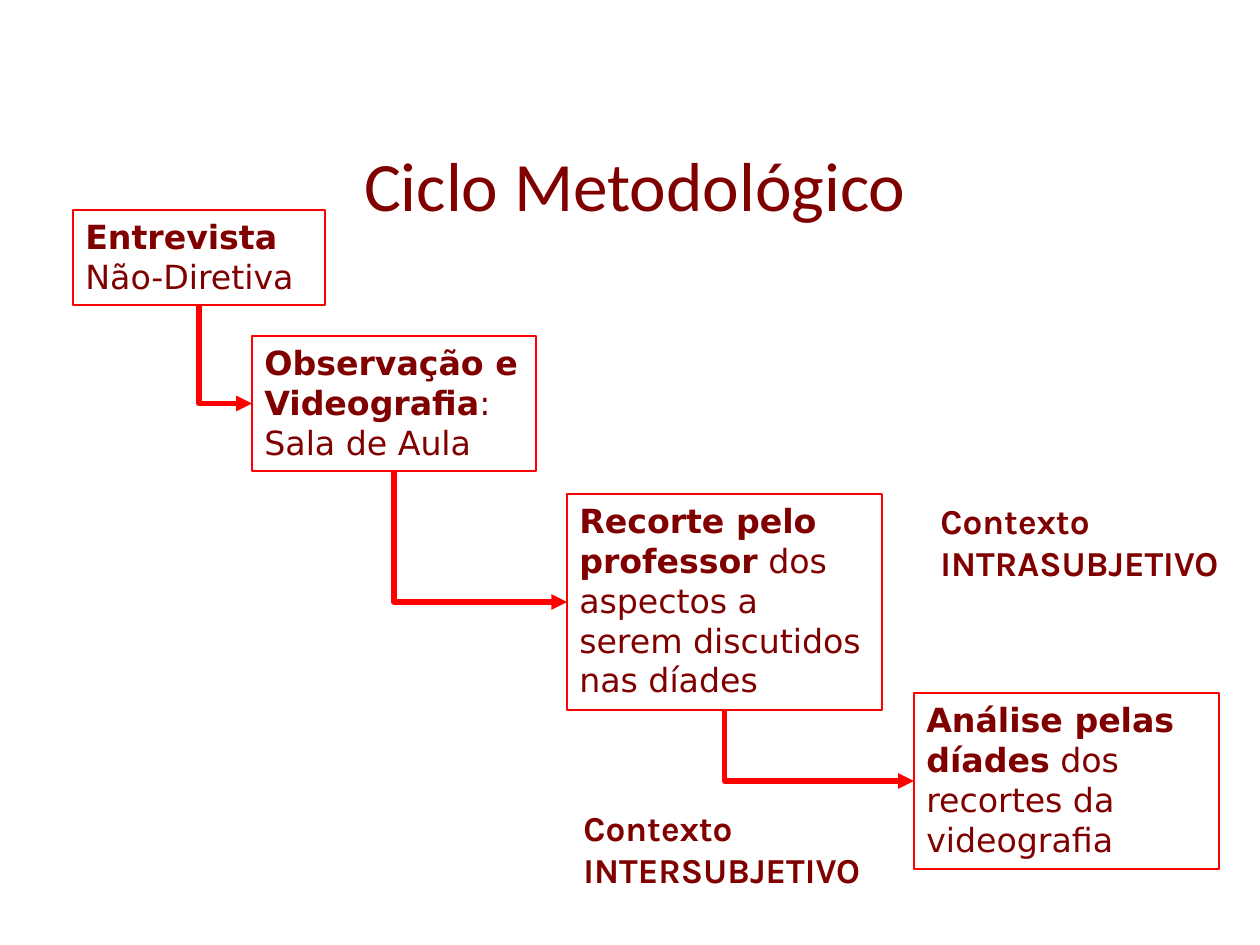
from dataclasses import dataclass
from itertools import pairwise

from lxml.etree import SubElement
from pptx import Presentation
from pptx.dml.color import RGBColor
from pptx.enum.shapes import MSO_CONNECTOR, MSO_SHAPE
from pptx.enum.text import MSO_ANCHOR, MSO_AUTO_SIZE, PP_ALIGN
from pptx.oxml.ns import qn
from pptx.util import Emu, Pt

SCALE = 914400 / 126
BOTTOM, LEFT = 2, 1  # connection sites of a rectangle


def px(n):
    return Emu(round(n * SCALE))


@dataclass(frozen=True)
class Theme:
    ink: RGBColor = RGBColor(0x80, 0, 0)
    line: RGBColor = RGBColor(0xFF, 0, 0)
    title: tuple = ("Calibri", 39.6)
    step: tuple = ("DejaVu Sans", 19)
    label: tuple = ("Karla", 20)
    border: float = 0.75
    arrow: float = 3


class Deck:
    def __init__(self, theme):
        self.theme = theme
        self.prs = Presentation()
        self.prs.slide_width, self.prs.slide_height = px(1260), px(945)
        self.slide = self.prs.slides.add_slide(self.prs.slide_layouts[5])

    def fill_text(self, frame, runs, style, align=PP_ALIGN.LEFT):
        """Fill a frame with (text, bold) runs in one paragraph."""
        name, size = style
        frame.word_wrap = True
        para = frame.paragraphs[0]
        para.alignment = align
        for text, bold in runs:
            run = para.add_run()
            run.text = text
            font = run.font
            font.name, font.size, font.bold = name, Pt(size), bold
            font.color.rgb = self.theme.ink

    def title(self, text, *area):
        shape = self.slide.shapes.title
        shape.left, shape.top, shape.width, shape.height = map(px, area)
        frame = shape.text_frame
        frame.auto_size = MSO_AUTO_SIZE.NONE
        frame.vertical_anchor = MSO_ANCHOR.MIDDLE
        self.fill_text(frame, [(text, False)], self.theme.title, PP_ALIGN.CENTER)

    def step(self, head, rest, area):
        shape = self.slide.shapes.add_shape(MSO_SHAPE.RECTANGLE, *map(px, area))
        shape.shadow.inherit = False
        shape.fill.background()
        shape.line.color.rgb = self.theme.line
        shape.line.width = Pt(self.theme.border)
        frame = shape.text_frame
        frame.vertical_anchor = MSO_ANCHOR.TOP
        frame.auto_size = MSO_AUTO_SIZE.SHAPE_TO_FIT_TEXT
        self.fill_text(frame, [(head, True), (rest, False)], self.theme.step)
        return shape

    def label(self, text, area):
        frame = self.slide.shapes.add_textbox(*map(px, area)).text_frame
        frame.auto_size = MSO_AUTO_SIZE.SHAPE_TO_FIT_TEXT
        self.fill_text(frame, [(text, True)], self.theme.label)

    def arrow(self, start, end):
        """Run down from the bottom of start, then right to the side of end."""
        link = self.slide.shapes.add_connector(MSO_CONNECTOR.ELBOW, 0, 0, 0, 0)
        link.begin_connect(start, BOTTOM)
        link.end_connect(end, LEFT)
        x, y = start.left + start.width // 2, start.top + start.height
        wide, high = end.left - x, end.top + end.height // 2 - y
        # A quarter turn swaps the sides around a fixed centre.
        link.left, link.top = x + (wide - high) // 2, y + (high - wide) // 2
        link.width, link.height = high, wide
        props = link._element.spPr
        frame = props.find(qn("a:xfrm"))
        frame.attrib.pop("flipV", None)
        frame.set("rot", str(270 * 60000))
        frame.set("flipH", "1")
        props.find(qn("a:prstGeom")).set("prst", "bentConnector2")
        link.line.color.rgb = self.theme.line
        link.line.width = Pt(self.theme.arrow)
        SubElement(props.find(qn("a:ln")), qn("a:tailEnd"), type="triangle")
        SubElement(props, qn("a:effectLst"))


STEPS = [
    ("Entrevista", " Não-Diretiva", (73, 210, 252, 95)),
    ("Observação e Videografia", ": Sala de Aula", (252, 336, 284, 135)),
    ("Recorte pelo professor", " dos aspectos a serem discutidos nas díades",
     (567, 494, 315, 216)),
    ("Análise pelas díades", " dos recortes da videografia",
     (914, 693, 305, 176)),
]
LABELS = [
    ("Contexto INTRASUBJETIVO", (928, 493, 307, 97)),
    ("Contexto INTERSUBJETIVO", (571, 800, 317, 97)),
]


def main():
    deck = Deck(Theme())
    deck.title("Ciclo Metodológico", 63, 135, 1144, 98)
    steps = [deck.step(*item) for item in STEPS]
    for start, end in pairwise(steps):
        deck.arrow(start, end)
    for text, area in LABELS:
        deck.label(text, area)
    deck.prs.save("out.pptx")


if __name__ == "__main__":
    main()
